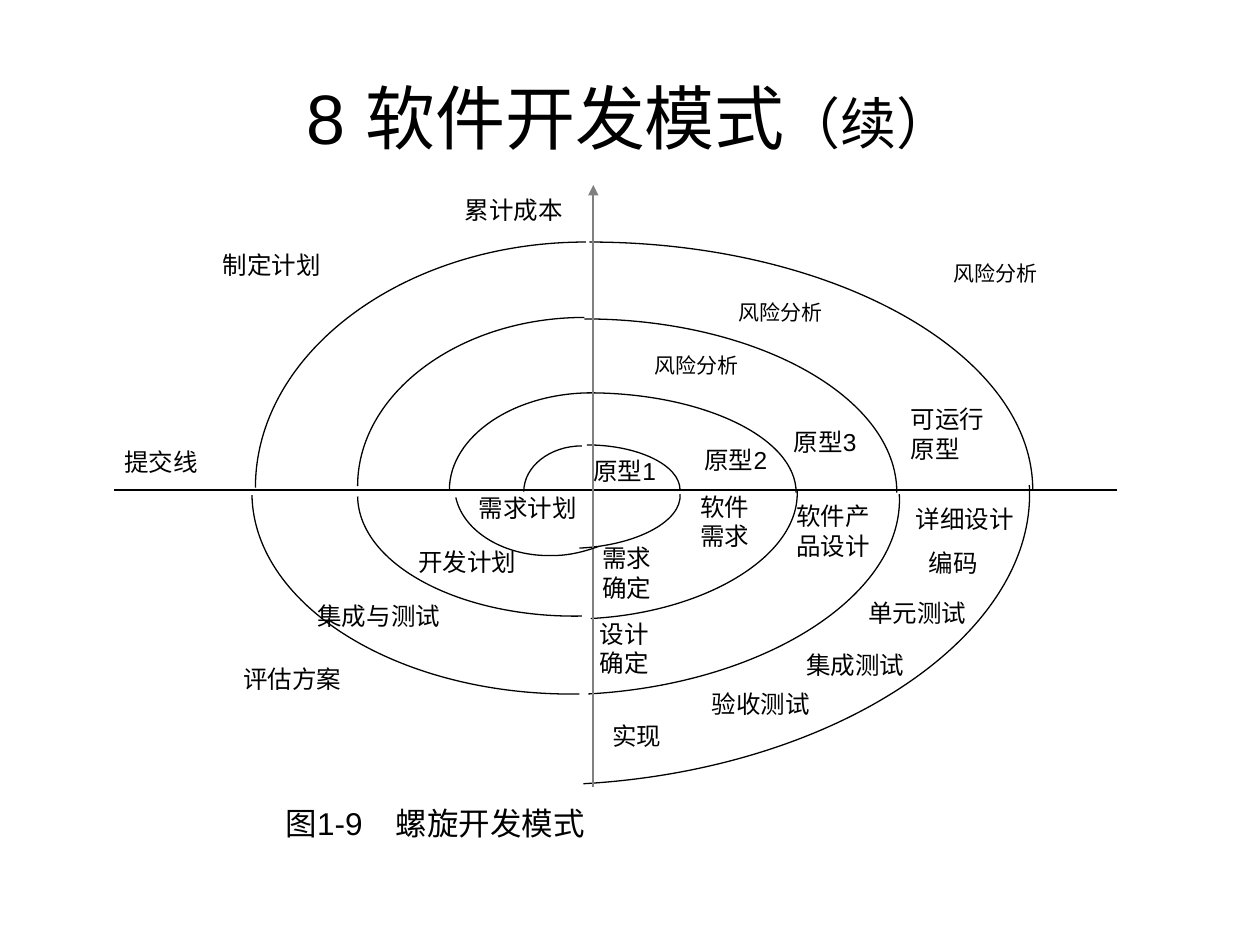
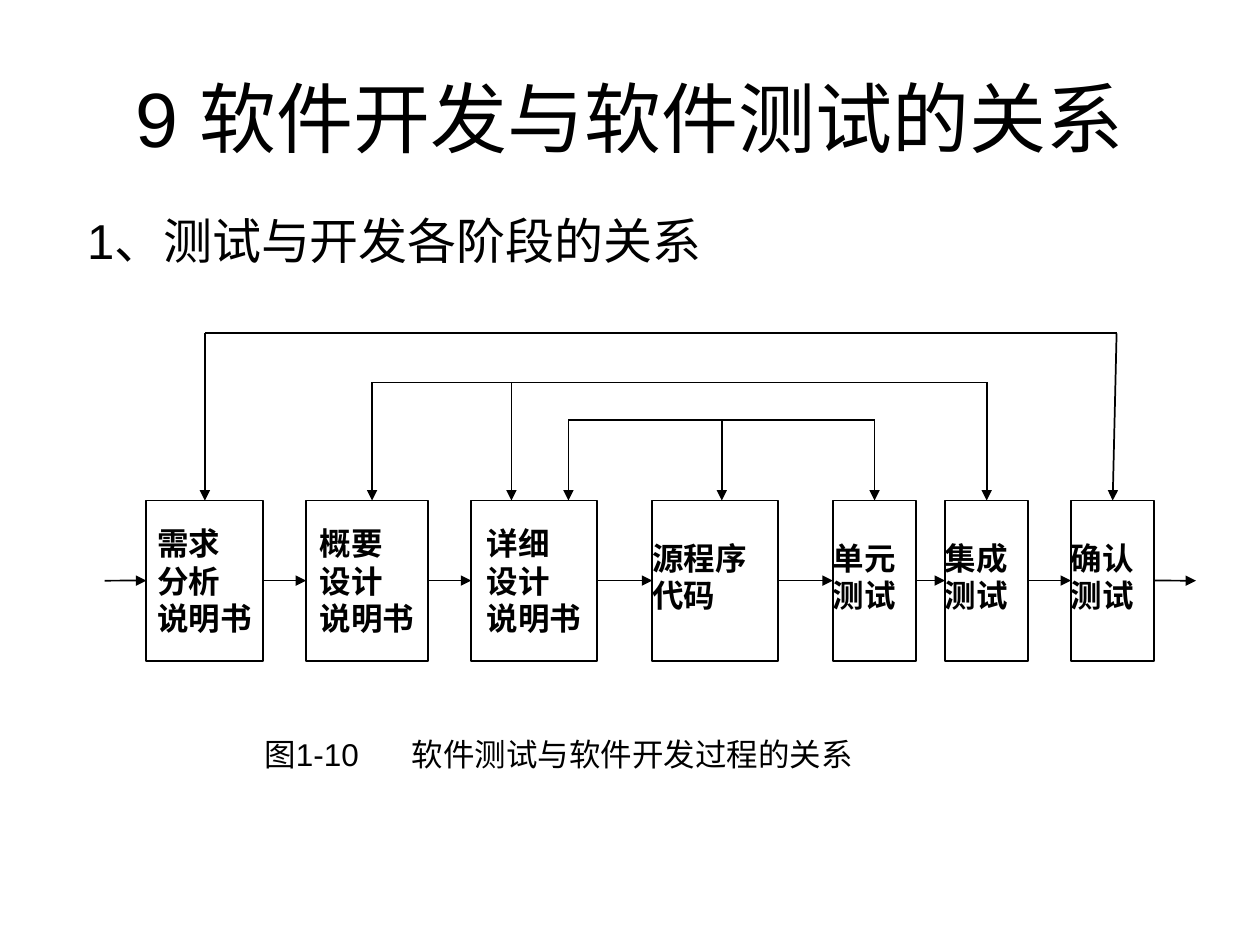
from lxml.etree import SubElement
from pptx import Presentation
from pptx.dml.color import RGBColor
from pptx.enum.shapes import MSO_CONNECTOR, MSO_SHAPE
from pptx.enum.text import MSO_ANCHOR, PP_ALIGN
from pptx.oxml.ns import qn
from pptx.util import Cm, Pt

BLACK, GRAY = "000000", "808080"
FONT = "Arial"
TITLE_BOX = (1.27, 0.76, 22.86, 3.18)
KAPPA = 0.55  # handle length of a quarter ellipse drawn as one Bézier curve

# Label text, offset from the crossing of the axes (cm), size and, if it wraps, width
SPIRAL_LABELS = [
    ("累计成本", -2.59, -5.94, 14),
    ("制定计划", -7.47, -4.83, 14),
    ("提交线", -9.45, -0.86, 14),
    ("风险分析", 7.26, -4.62, 12),
    ("风险分析", 2.92, -3.84, 12),
    ("风险分析", 1.24, -2.77, 12),
    ("原型1", 0, -0.69, 14),
    ("原型2", 2.24, -0.91, 14),
    ("原型3", 4.04, -1.27, 14),
    ("可运行\n原型", 6.4, -1.73, 14),
    ("需求计划", -2.31, 0.05, 14),
    ("开发计划", -3.53, 1.14, 14),
    ("集成与测试", -5.56, 2.24, 14),
    ("评估方案", -7.06, 3.51, 14),
    ("软件\n需求", 2.16, 0.03, 14),
    ("软件产品设计", 4.09, 0.23, 14, 1.88),
    ("需求\n确定", 0.18, 1.07, 14),
    ("设计\n确定", 0.13, 2.59, 14),
    ("实现", 0.38, 4.65, 14),
    ("详细设计", 6.5, 0.28, 14),
    ("编码", 6.76, 1.17, 14),
    ("单元测试", 5.54, 2.18, 14),
    ("集成测试", 4.29, 3.23, 14),
    ("验收测试", 2.39, 4.01, 14),
]

# Upper quarter arcs: top point and side point
UPPER_ARCS = [
    ((-0.13, -0.91), (1.75, 0)),
    ((-0.23, -0.89), (-1.4, 0.03)),
    ((-0.03, -1.96), (-2.9, 0)),
    ((-0.1, -1.96), (4.09, 0.05)),
    ((-0.18, -3.48), (-4.75, -0.08)),
    ((-0.18, -3.45), (6.12, 0.05)),
    ((-0.15, -5), (-6.81, -0.05)),
    ((-0.08, -5), (8.86, 0)),
]

# Lower quarter arcs are tilted: bottom point, centre and side point
LOWER_ARCS = [
    ((-0.28, 1.17), (-0.36, 0.18), (1.75, 0.08)),
    ((-0.05, 2.59), (-0.18, 0.23), (4.11, 0)),
    ((-0.1, 4.11), (-0.3, 0.43), (6.17, 0.08)),
    ((-0.2, 5.92), (-0.51, 0.43), (8.79, -0.1)),
    ((-0.23, 2.54), (-0.28, 0.05), (-4.75, 0.13)),
    ((-0.28, 4.11), (-0.36, 0), (-6.88, 0.1)),
]

# The arc below the first plan reaches past the vertical axis
INNER_CURVE = [
    (0.1, 1.14), (-0.18, 1.24), (-0.48, 1.32), (-0.81, 1.32),
    (-1.78, 1.35), (-2.62, 0.84), (-2.77, 0.15),
]

# Stage text, left and width (cm)
STAGES = [
    ("需求\n分析\n说明书", 0.84, 2.36),
    ("概要\n设计\n说明书", 4.06, 2.46),
    ("详细\n设计\n说明书", 7.39, 2.54),
    ("源程序\n代码", 11.04, 2.54),
    ("单元\n测试", 14.68, 1.68),
    ("集成\n测试", 16.94, 1.68),
    ("确认\n测试", 19.48, 1.68),
]

# Height of each bracket and its arrows: stage, offset from its middle, lean at the top
BRACKETS = [
    (0, [(0, 0, 0), (6, 0, 0.08)]),
    (0.99, [(1, 0.1, 0), (2, -0.46, 0), (5, 0, 0)]),
    (1.75, [(2, 0.69, 0), (3, 0.13, 0), (4, 0, 0)]),
]


def color(value):
    return RGBColor.from_string(value)


def set_attrs(obj, **values):
    for name, value in values.items():
        setattr(obj, name, value)


def place(sp, box):
    for name, value in zip(("left", "top", "width", "height"), box):
        setattr(sp, name, Cm(value))


def style_font(obj, size, bold=False):
    set_attrs(obj.font, name=FONT, size=Pt(size), bold=bold)
    obj.font.color.rgb = color(BLACK)


def style_line(sp, width, value=BLACK):
    sp.line.width = Pt(width)
    sp.line.color.rgb = color(value)


def add_runs(p, *runs):
    for text, size in runs:
        r = p.add_run()
        r.text = text
        style_font(r, size)


def write_lines(tf, text, size, bold=False):
    for i, line in enumerate(text.split("\n")):
        p = tf.add_paragraph() if i else tf.paragraphs[0]
        p.alignment = PP_ALIGN.LEFT
        r = p.add_run()
        r.text = line
        style_font(r, size, bold)


def no_insets(tf):
    set_attrs(tf, margin_left=0, margin_top=0, margin_right=0, margin_bottom=0)


def add_title(slide, *runs):
    sp = slide.shapes.title
    place(sp, TITLE_BOX)
    sp.text_frame.vertical_anchor = MSO_ANCHOR.MIDDLE
    p = sp.text_frame.paragraphs[0]
    p.alignment = PP_ALIGN.CENTER
    add_runs(p, *runs)


def add_heading(slide, text, box):
    sp = slide.placeholders[1]
    place(sp, box)
    p = sp.text_frame.paragraphs[0]
    pPr = p._p.get_or_add_pPr()
    pPr.set("marL", "0")
    pPr.set("indent", "0")
    SubElement(pPr, qn("a:buNone"))
    p.space_before = Pt(0)
    add_runs(p, (text, 28))


def add_caption(slide, number, text, box, tab, tab_size=18, spacing=1.0):
    """Number and text, parted by a tab stop at tab cm."""
    sp = slide.shapes.add_textbox(*map(Cm, box))
    sp.text_frame.word_wrap = True
    p = sp.text_frame.paragraphs[0]
    tabs = SubElement(p._p.get_or_add_pPr(), qn("a:tabLst"))
    SubElement(tabs, qn("a:tab"), pos=str(Cm(tab)), algn="l")
    p.line_spacing = spacing
    add_runs(p, (number, 18), ("\t", tab_size), (text, 18))


def add_line(slide, x1, y1, x2, y2, width=1, value=BLACK, arrow=False):
    cx = slide.shapes.add_connector(MSO_CONNECTOR.STRAIGHT, *map(Cm, (x1, y1, x2, y2)))
    style_line(cx, width, value)
    if arrow:
        SubElement(cx.line._get_or_add_ln(), qn("a:tailEnd"), type="triangle")
    SubElement(cx._element.spPr, qn("a:effectLst"))
    return cx


def add_curve(slide, origin, points):
    """Bézier chain: a start, then two handles and an end for each piece."""
    points = [(Cm(origin[0] + x), Cm(origin[1] + y)) for x, y in points]
    fb = slide.shapes.build_freeform(*points[0])
    fb.add_line_segments(points[1:], close=False)
    sp = fb.convert_to_shape()
    outline = next(sp._element.iter(qn("a:moveTo"))).getparent()
    segments = outline.findall(qn("a:lnTo"))
    for i, segment in enumerate(segments):
        if i % 3 == 0:
            bezier = SubElement(outline, qn("a:cubicBezTo"))
        bezier.append(segment[0])
        outline.remove(segment)
    sp.shadow.inherit = False
    sp.fill.background()
    style_line(sp, 0.75)


def add_arc(slide, origin, start, centre, end):
    handle1 = [s + KAPPA * (e - c) for s, c, e in zip(start, centre, end)]
    handle2 = [e + KAPPA * (s - c) for s, c, e in zip(start, centre, end)]
    add_curve(slide, origin, [start, handle1, handle2, end])


def add_label(slide, origin, text, dx, dy, size, width=None):
    lines = text.split("\n")
    width = width or max(map(len, lines)) * 0.5 + 0.2
    sp = slide.shapes.add_textbox(
        Cm(origin[0] + dx), Cm(origin[1] + dy), Cm(width), Cm(0.64 * len(lines)))
    no_insets(sp.text_frame)
    sp.text_frame.word_wrap = True
    write_lines(sp.text_frame, text, size)


def add_spiral(slide, box):
    left, top, width, height = box
    origin = (left + 9.67, top + 6.15)
    for label in SPIRAL_LABELS:
        add_label(slide, origin, *label)
    for start, end in UPPER_ARCS:
        add_arc(slide, origin, start, (start[0], end[1]), end)
    for arc in LOWER_ARCS:
        add_arc(slide, origin, *arc)
    add_line(slide, left, origin[1], left + width, origin[1], 0.75)
    add_line(slide, origin[0], top + height, origin[0], top, 1.25, GRAY, arrow=True)
    add_curve(slide, origin, INNER_CURVE)


def add_stage(slide, text, box):
    sp = slide.shapes.add_shape(MSO_SHAPE.RECTANGLE, *map(Cm, box))
    sp.shadow.inherit = False
    sp.fill.background()
    style_line(sp, 1)
    tf = sp.text_frame
    no_insets(tf)
    set_attrs(tf, vertical_anchor=MSO_ANCHOR.MIDDLE, word_wrap=True)
    if text.count("\n") == 2:
        tf.margin_left = Cm((box[2] - 1.91) / 2)
    else:
        tf.margin_bottom = Cm(0.17)
    write_lines(tf, text, 18, bold=True)
    return sp


def add_flow(slide, box):
    left, top, width, height = box
    stage_top, stage_height = top + 3.37, height - 3.37
    stages = [add_stage(slide, text, (left + x, stage_top, w, stage_height))
              for text, x, w in STAGES]

    middle = stage_top + stage_height / 2
    starts = [left] + [left + x + w for _, x, w in STAGES]
    ends = [left + x for _, x, _ in STAGES] + [left + width]
    for i, (x1, x2) in enumerate(zip(starts, ends)):
        cx = add_line(slide, x1, middle, x2, middle, arrow=True)
        if i > 0:
            cx.begin_connect(stages[i - 1], 3)
        if i < len(stages):
            cx.end_connect(stages[i], 1)

    for dy, targets in BRACKETS:
        xs = [left + STAGES[n][1] + STAGES[n][2] / 2 + dx for n, dx, _ in targets]
        add_line(slide, xs[0], top + dy, xs[-1] + targets[-1][2], top + dy)
        for x, (n, dx, lean) in zip(xs, targets):
            cx = add_line(slide, x + lean, top + dy, x, stage_top, arrow=True)
            if dx == 0:
                cx.end_connect(stages[n], 0)


def spiral_slide(prs):
    slide = prs.slides.add_slide(prs.slide_layouts[5])
    add_title(slide, ("8 软件开发模式", 40), ("（续）", 32))
    add_spiral(slide, (2.29, 3.73, 20.22, 12.14))
    add_caption(slide, "图1-9", "螺旋开发模式", (5.51, 16.08, 12.07, 1.27), 2.22)


def testing_slide(prs):
    slide = prs.slides.add_slide(prs.slide_layouts[1])
    add_title(slide, ("9 软件开发与软件测试的关系", 44))
    add_heading(slide, "1、测试与开发各阶段的关系", (1.5, 4.11, 22.66, 2.01))
    add_flow(slide, (2.11, 6.72, 22, 6.6))
    add_caption(slide, "图1-10", "软件测试与软件开发过程的关系",
                (5.08, 14.4, 16.31, 2.11), 2.97, tab_size=32, spacing=0.85)


def main():
    prs = Presentation()
    set_attrs(prs, slide_width=Cm(25.4), slide_height=Cm(19.05))
    spiral_slide(prs)
    testing_slide(prs)
    prs.save("out.pptx")


if __name__ == "__main__":
    main()
